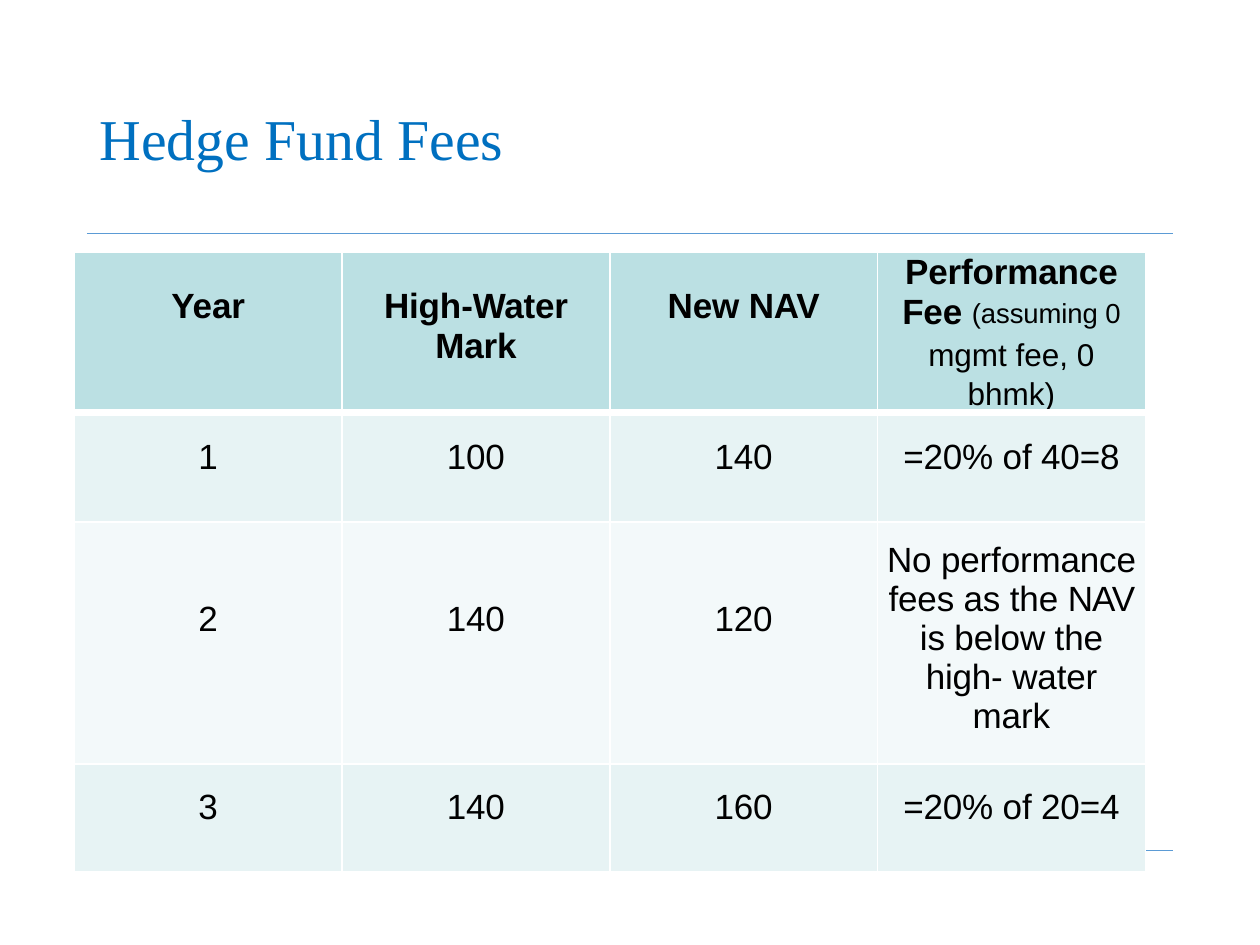
from dataclasses import dataclass

from lxml import etree
from pptx import Presentation
from pptx import util as u
from pptx.dml.color import RGBColor
from pptx.enum import shapes, text
from pptx.oxml.ns import qn

BLUE = RGBColor(0x00, 0x70, 0xC0)
RULE = RGBColor(0x5B, 0x9B, 0xD5)
BLACK = RGBColor(0, 0, 0)
TEAL = RGBColor(0xBB, 0xE0, 0xE3)
PALE = RGBColor(0xE7, 0xF3, 0xF4)
LIGHT = RGBColor(0xF3, 0xF9, 0xFA)


@dataclass
class Run:
    words: str
    size: float = 20
    bold: bool = False
    space: int = -10  # hundredths of a point
    raise_by: int = 0  # thousandths of a percent


@dataclass
class Para:
    runs: list[Run]
    pitch: float | None = None
    before: float = 0


@dataclass
class Cell:
    paras: list[Para]
    top: float


@dataclass
class Row:
    height: float
    fill: RGBColor
    cells: list[Cell]


def plain(words: str, top: float, bold: bool = False) -> Cell:
    return Cell([Para([Run(words, bold=bold)])], top)


def draw_rule(slide, y: float) -> None:
    line = slide.shapes.add_connector(
        shapes.MSO_CONNECTOR.STRAIGHT,
        u.Inches(0.69), u.Inches(y), u.Inches(9.31), u.Inches(y))
    line.line.color.rgb = RULE
    line.line.width = u.Pt(0.5)
    etree.SubElement(line._element.spPr, qn("a:effectLst"))


def add_edge(cell, side: str, width: float) -> None:
    edge = etree.SubElement(cell._tc.get_or_add_tcPr(), qn("a:ln" + side),
                            w=str(u.Pt(width)))
    fill = etree.SubElement(edge, qn("a:solidFill"))
    etree.SubElement(fill, qn("a:srgbClr"), val="FFFFFF")


def write_run(para, item: Run) -> None:
    run = para.add_run()
    run.text = item.words
    font = run.font
    font.name, font.size, font.bold = "Arial", u.Pt(item.size), item.bold
    font.color.rgb = BLACK
    props = run._r.get_or_add_rPr()
    props.set("spc", str(item.space))
    if item.raise_by:
        props.set("baseline", str(item.raise_by))


def fill_cell(cell, item: Cell, color: RGBColor, edges: dict[str, float]) -> None:
    for side, width in edges.items():
        add_edge(cell, side, width)
    cell.fill.solid()
    cell.fill.fore_color.rgb = color
    cell.margin_left = cell.margin_right = u.Inches(0.05)
    cell.margin_top, cell.margin_bottom = u.Inches(item.top), 0
    frame = cell.text_frame
    for i, part in enumerate(item.paras):
        para = frame.add_paragraph() if i else frame.paragraphs[0]
        para.alignment = text.PP_ALIGN.CENTER
        para.space_before = u.Pt(part.before)
        if part.pitch:
            para.line_spacing = u.Pt(part.pitch)
        for run in part.runs:
            write_run(para, run)


def draw_table(slide, rows: list[Row]) -> None:
    count = len(rows[0].cells)
    height = sum(row.height for row in rows)
    table = slide.shapes.add_table(
        len(rows), count, u.Inches(0.59), u.Inches(2),
        u.Inches(8.5), u.Inches(height)).table
    for r, row in enumerate(rows):
        table.rows[r].height = u.Inches(row.height)
        for c, item in enumerate(row.cells):
            edges = {"L": 1 if c else 1.5, "R": 1,
                     "T": 4.25 if r == 1 else 1.5,
                     "B": 4.25 if r == 0 else 1.5}
            fill_cell(table.cell(r, c), item, row.fill, edges)


# Table content
fee = Cell([
    Para([Run("Performance", bold=True)], pitch=22.9),
    Para([Run("Fee ", bold=True),
          Run("(assuming 0 ", 27, space=0, raise_by=2000),
          Run("mgmt fee, 0 bhmk)", 18, space=0)], pitch=22.1, before=2.3),
], 0)
note = Cell([Para([Run("No performance fees as the "), Run("NAV ", space=-60),
                   Run("is below the high- water mark")])], 0.15)
ROWS = [
    Row(1.25, TEAL, [plain(w, 0.28, True) for w in
                     ("Year", "High-Water Mark", "New NAV")] + [fee]),
    Row(0.87, PALE, [plain(w, 0.2) for w in ("1", "100", "140", "=20% of 40=8")]),
    Row(1.92, LIGHT, [plain(w, 0.62) for w in ("2", "140", "120")] + [note]),
    Row(0.86, PALE, [plain(w, 0.19) for w in ("3", "140", "160", "=20% of 20=4")]),
]


def main() -> None:
    deck = Presentation()
    deck.slide_width, deck.slide_height = u.Inches(10), u.Inches(7.5)
    slide = deck.slides.add_slide(deck.slide_layouts[5])

    # Title
    title = slide.shapes.title
    title.left, title.top = u.Inches(0.69), u.Inches(0.4)
    title.width, title.height = u.Inches(8.62), u.Inches(1.45)
    frame = title.text_frame
    frame.auto_size = text.MSO_AUTO_SIZE.NONE
    frame.vertical_anchor = text.MSO_ANCHOR.MIDDLE
    para = frame.paragraphs[0]
    para.alignment = text.PP_ALIGN.LEFT
    para.line_spacing = 0.9
    run = para.add_run()
    run.text = "Hedge Fund Fees"
    run.font.name, run.font.size = "Times New Roman", u.Pt(33)
    run.font.color.rgb = BLUE

    # Rules, then the table over them
    for y in (1.85, 6.75):
        draw_rule(slide, y)
    draw_table(slide, ROWS)
    deck.save("out.pptx")


if __name__ == "__main__":
    main()
